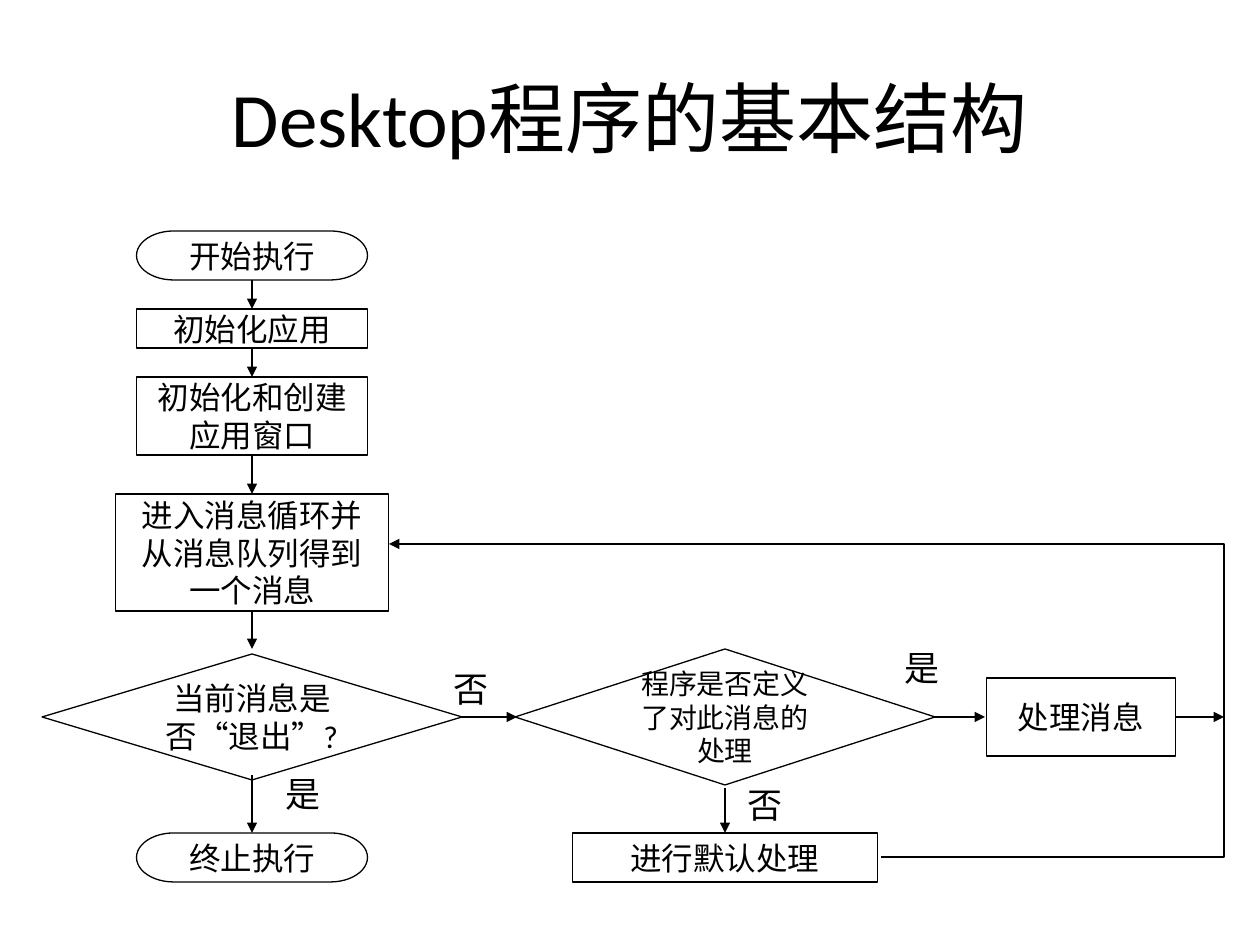
from collections import namedtuple
from dataclasses import dataclass

from lxml import etree
from pptx import Presentation
from pptx.dml.color import RGBColor
from pptx.enum.shapes import MSO_CONNECTOR, MSO_SHAPE
from pptx.enum.text import MSO_ANCHOR, PP_ALIGN
from pptx.oxml.ns import qn
from pptx.util import Emu, Pt

TERMINATOR = MSO_SHAPE.FLOWCHART_TERMINATOR
PROCESS = MSO_SHAPE.FLOWCHART_PROCESS
DECISION = MSO_SHAPE.FLOWCHART_DECISION
STRAIGHT = MSO_CONNECTOR.STRAIGHT
MIDDLE, TOP = MSO_ANCHOR.MIDDLE, MSO_ANCHOR.TOP
CENTER, LEFT = PP_ALIGN.CENTER, PP_ALIGN.LEFT

EMU_PER_PIXEL = 914400 / 126
Box = namedtuple("Box", "left top width height")


@dataclass(frozen=True)
class Theme:
    ink: RGBColor = RGBColor(0, 0, 0)
    font: str = "Calibri"
    title: int = 44
    label: int = 20
    step: int = 18
    small: int = 16
    line: float = 0.75


THEME = Theme()


def px(value):
    return Emu(round(value * EMU_PER_PIXEL))


def within(area, left, top, width, height):
    return Box(area.left + left, area.top + top, width, height)


def write(shape, text, size, align=CENTER, anchor=MIDDLE, wrap=True):
    frame = shape.text_frame
    frame.word_wrap = wrap
    frame.vertical_anchor = anchor
    para = frame.paragraphs[0]
    para.text = text
    para.alignment = align
    para.font.size = Pt(size)
    para.font.name = THEME.font
    para.font.color.rgb = THEME.ink


def outline(shape):
    shape.line.color.rgb = THEME.ink
    shape.line.width = Pt(THEME.line)


def add_arrowhead(shape):
    line = shape.line._get_or_add_ln()
    etree.SubElement(line, qn("a:tailEnd"), type="triangle")


def add_text(page, box, text, size, **style):
    write(page.shapes.add_textbox(*map(px, box)), text, size, **style)


def add_step(page, kind, box, text, size, wrap):
    step = page.shapes.add_shape(kind, *map(px, box))
    step.shadow.inherit = False
    step.fill.background()
    outline(step)
    write(step, text, size, wrap=wrap)


def add_arrow(page, area, start, end):
    points = [px(area[i % 2] + value) for i, value in enumerate(start + end)]
    arrow = page.shapes.add_connector(STRAIGHT, *points)
    outline(arrow)
    add_arrowhead(arrow)
    etree.SubElement(arrow._element.spPr, qn("a:effectLst"))


def add_return_path(page, area, points):
    corners = [(px(area.left + x), px(area.top + y)) for x, y in points]
    builder = page.shapes.build_freeform(*corners[0])
    builder.add_line_segments(corners[1:], close=False)
    route = builder.convert_to_shape()
    route.shadow.inherit = False
    route.fill.background()
    outline(route)
    add_arrowhead(route)


def place_title(page, box):
    add_text(page, box, "Desktop程序的基本结构", THEME.title)


def place_flowchart(page, area):
    main, check, handle = 210, 683, 1039
    row, right = 486, area.width
    steps = [
        (TERMINATOR, main, 0, 231, 49, "开始执行", THEME.step, False),
        (PROCESS, main, 78, 231, 39, "初始化应用", THEME.step, False),
        (PROCESS, main, 146, 231, 78, "初始化和创建应用窗口", THEME.step, True),
        (PROCESS, main, 263, 273, 117, "进入消息循环并从消息队列得到一个消息", THEME.step, True),
        (DECISION, main, 423, 420, 126, "当前消息是否“退出”?", THEME.step, True),
        (TERMINATOR, main, 602, 231, 49, "终止执行", THEME.step, False),
        (DECISION, check, 418, 420, 136, "程序是否定义了对此消息的处理", THEME.small, True),
        (PROCESS, check, 602, 305, 49, "进行默认处理", THEME.step, False),
        (PROCESS, handle, 447, 189, 78, "处理消息", THEME.step, False),
    ]
    for kind, center, top, width, height, text, size, wrap in steps:
        box = within(area, center - width / 2, top, width, height)
        add_step(page, kind, box, text, size, wrap)

    drops = [(main, 49, 78), (main, 117, 146), (main, 224, 263),
             (main, 379, 418), (main, 544, 602), (check, 557, 602)]
    for x, top, bottom in drops:
        add_arrow(page, area, (x, top), (x, bottom))
    for start, end in [(417, 475), (890, 943), (1134, right)]:
        add_arrow(page, area, (start, row), (end, row))
    add_return_path(page, area, [(839, 626), (right, 626), (right, 313), (347, 313)])

    answers = [("否", 399, 430), ("否", 693, 546), ("是", 231, 535), ("是", 850, 409)]
    for text, left, top in answers:
        add_text(page, within(area, left, top, 63, 54), text, THEME.label,
                 align=LEFT, anchor=TOP)


deck = Presentation()
deck.slide_width, deck.slide_height = px(1260), px(945)
page = deck.slides.add_slide(deck.slide_layouts[6])
place_title(page, Box(63, 38, 1134, 158))
place_flowchart(page, Box(42, 231, 1182, 651))
deck.save("out.pptx")
